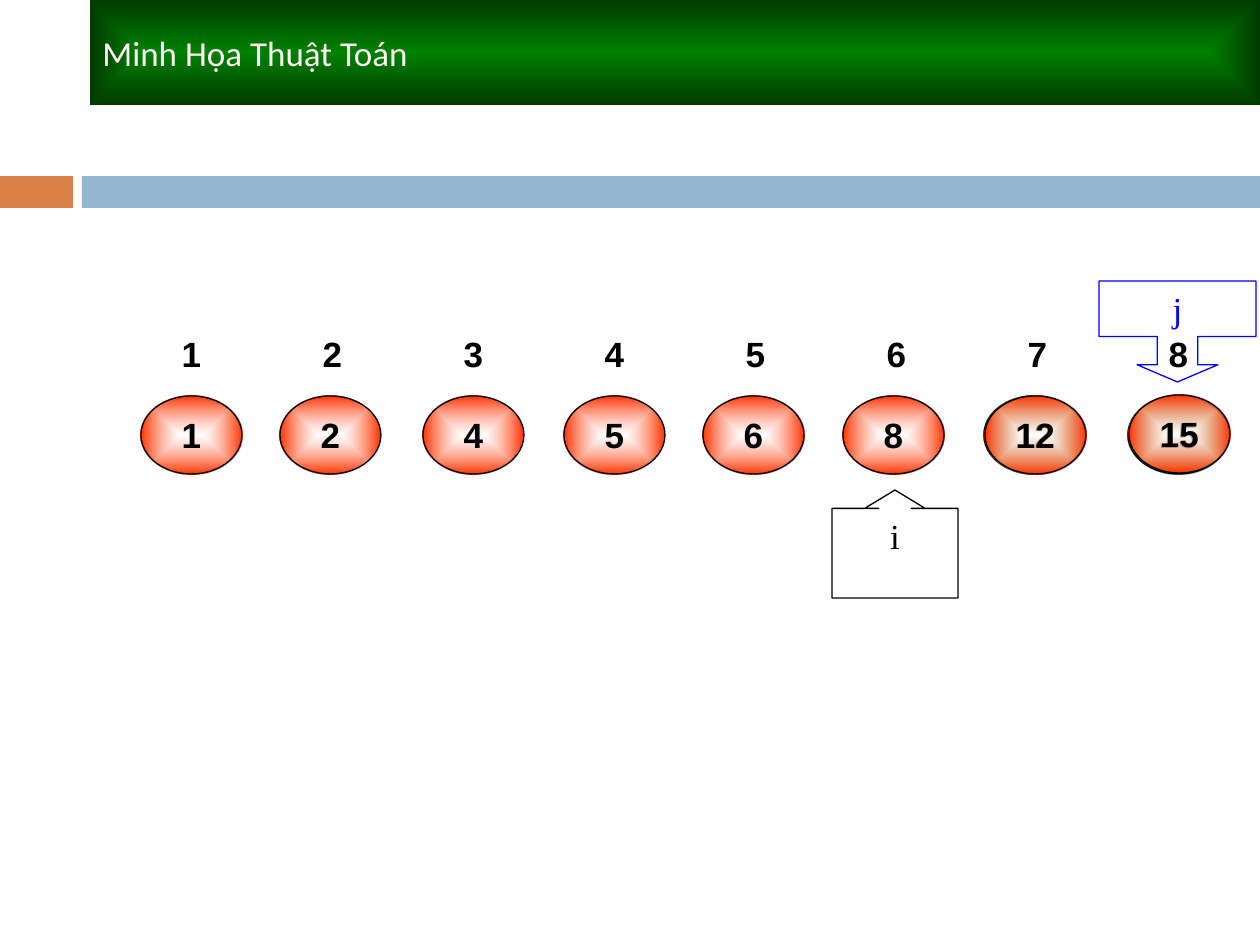
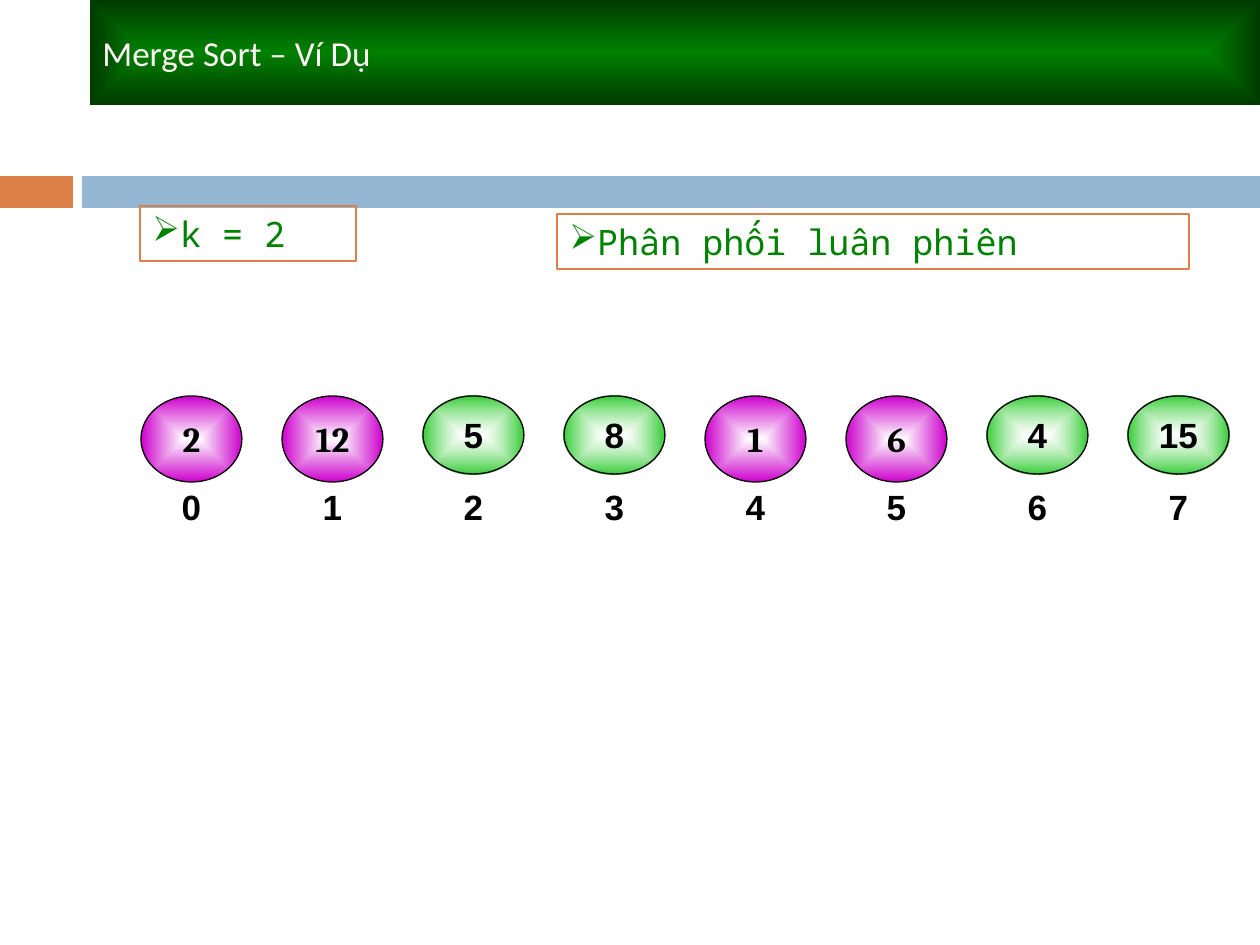
from collections import namedtuple

from lxml.etree import SubElement
from pptx import Presentation
from pptx.dml.color import RGBColor
from pptx.enum.shapes import MSO_SHAPE as Preset
from pptx.enum.text import MSO_ANCHOR as Anchor, PP_ALIGN as Align
from pptx.oxml import parse_xml
from pptx.oxml.ns import nsdecls, qn
from pptx.util import Emu, Pt

Box = namedtuple("Box", "left top width height")

EMU_PER_PX = 914400 / 126
COLORS = {
    "orange": "DD8047",
    "blue_band": "94B6D2",
    "title_center": "008000",
    "title_edge": "003B00",
    "title_text": "FFF3F3",
    "white": "FFFFFF",
    "black": "000000",
    "red": "FF3300",
    "green": "33CC33",
    "purple": "CC00CC",
    "pointer_blue": "0000FF",
    "note": "008200",
}
PITCH = 141
BALL_WIDTH, BALL_HEIGHT, PURPLE_HEIGHT = 101, 78, 86
ROW_LEFT, ROW_TOP = 141, 396
SORTED_VALUES = (1, 2, 4, 5, 6, 8, 12, 15)
SORTED_NUDGES = (0, -2, 0, 0, -2, -3, -3, 0)
INPUT_VALUES = (2, 12, 5, 8, 1, 6, 4, 15)
RUN_LENGTH = 2


def px(length):
    """Turn px into EMU."""
    return Emu(round(length * EMU_PER_PX))


def rgb(name):
    """Look up a named colour."""
    return RGBColor.from_string(COLORS[name])


def fill_from_center(shape, center, edge, opacity=100):
    """Fill a shape with a rectangular gradient from its centre to its edge."""
    properties = shape._element.spPr
    gradient = parse_xml(
        f'<a:gradFill {nsdecls("a")} rotWithShape="1"><a:gsLst>'
        f'<a:gs pos="0"><a:srgbClr val="{COLORS[center]}">'
        f'<a:alpha val="{opacity * 1000}"/></a:srgbClr></a:gs>'
        f'<a:gs pos="100000"><a:srgbClr val="{COLORS[edge]}"/></a:gs></a:gsLst>'
        '<a:path path="rect"><a:fillToRect l="50000" t="50000" r="50000" b="50000"/>'
        "</a:path></a:gradFill>"
    )
    properties.find(qn("a:prstGeom")).addnext(gradient)


def add_preset(shapes, preset, box, fill=None, line=None, gradient=None):
    """Add a preset shape with a plain, gradient or empty fill."""
    shape = shapes.add_shape(preset, *map(px, box))
    shape.shadow.inherit = False
    if gradient:
        fill_from_center(shape, *gradient)
    elif fill:
        shape.fill.solid()
        shape.fill.fore_color.rgb = rgb(fill)
    else:
        shape.fill.background()
    if line:
        shape.line.color.rgb = rgb(line)
        shape.line.width = Pt(0.75)
    else:
        shape.line.fill.background()
    return shape


def write_text(shape, text, font="Arial", color="black", bold=False, align=Align.CENTER,
               anchor=Anchor.TOP, wrap=True, bullet=None):
    """Write one formatted line into a shape."""
    frame = shape.text_frame
    frame.word_wrap = wrap
    frame.vertical_anchor = anchor
    paragraph = frame.paragraphs[0]
    paragraph.alignment = align
    if bullet:
        properties = paragraph._p.get_or_add_pPr()
        bullet_color = SubElement(properties, qn("a:buClr"))
        SubElement(bullet_color, qn("a:srgbClr")).set("val", COLORS[color])
        SubElement(properties, qn("a:buChar")).set("char", bullet)
    run = paragraph.add_run()
    run.text = text
    run.font.size = Pt(20)
    run.font.name = font
    run.font.bold = bold
    run.font.color.rgb = rgb(color)


def add_bands(slide, box):
    """Draw the orange tab and the blue band."""
    tab_width, band_offset = 73, 82
    add_preset(slide.shapes, Preset.RECTANGLE, box._replace(width=tab_width), fill="orange")
    band = box._replace(left=box.left + band_offset, width=box.width - band_offset)
    add_preset(slide.shapes, Preset.RECTANGLE, band, fill="blue_band")


def add_title(slide, text, box):
    """Draw the green title bar."""
    bar = add_preset(slide.shapes, Preset.RECTANGLE, box,
                     gradient=("title_center", "title_edge"))
    write_text(bar, text, font="Calibri", color="title_text", align=Align.LEFT,
               anchor=Anchor.MIDDLE)


def add_base_slide(presentation, title):
    """Add a blank slide with the shared bands and title."""
    slide = presentation.slides.add_slide(presentation.slide_layouts[6])
    add_bands(slide, Box(0, 176, 1260, 32))
    add_title(slide, title, Box(90, 0, 1170, 105))
    return slide


def cell_box(index, top, height=BALL_HEIGHT, nudge=0):
    """Return the box of one array cell."""
    return Box(ROW_LEFT + index * PITCH + nudge, top, BALL_WIDTH, height)


def add_ball(slide, value, box, color):
    """Draw an array value in a glossy ellipse."""
    purple = color == "purple"
    opacity = 100 if purple else 60
    ball = add_preset(slide.shapes, Preset.OVAL, box, line="black",
                      gradient=("white", color, opacity))
    style = dict(font="Cambria", anchor=Anchor.MIDDLE, wrap=False) if purple else {}
    write_text(ball, str(value), bold=True, **style)


def add_index_row(slide, first, top):
    """Write the eight array indices as one group."""
    group = slide.shapes.add_group_shape()
    for index in range(len(INPUT_VALUES)):
        label = add_preset(group.shapes, Preset.OVAL, cell_box(index, top))
        write_text(label, str(first + index), bold=True)


def add_pointer(slide, name, preset, box, color, adjustments):
    """Draw a callout that points at an array cell."""
    pointer = add_preset(slide.shapes, preset, box, line=color)
    for position, value in enumerate(adjustments):
        pointer.adjustments[position] = value
    write_text(pointer, name, font="Times New Roman", color=color)


def add_note(slide, text, box):
    """Draw a bulleted note in an orange frame."""
    note = add_preset(slide.shapes, Preset.RECTANGLE, box, line="orange")
    write_text(note, text, font="Noto Sans Mono", color="note", align=Align.LEFT, bullet="➢")


def build_illustration(presentation):
    """Build the slide with the sorted array and its two pointers."""
    slide = add_base_slide(presentation, "Minh Họa Thuật Toán")
    for index, (value, nudge) in enumerate(zip(SORTED_VALUES, SORTED_NUDGES)):
        color = "red" if index < 6 else "green"
        add_ball(slide, value, cell_box(index, ROW_TOP, nudge=nudge), color)
    add_index_row(slide, 1, 315)
    add_pointer(slide, "i", Preset.UP_ARROW_CALLOUT, Box(832, 490, 126, 108), "black",
                (0.3, 0.28, 0.17, 0.99))
    add_pointer(slide, "j", Preset.DOWN_ARROW_CALLOUT, Box(1099, 281, 157, 101),
                "pointer_blue", (0.4, 0.4, 0.17, 0.55))
    add_ball(slide, SORTED_VALUES[7], cell_box(7, ROW_TOP - 1, nudge=1), "red")
    add_ball(slide, SORTED_VALUES[6], cell_box(6, ROW_TOP, nudge=-2), "red")


def build_example(presentation):
    """Build the slide that deals the array out in alternating runs."""
    slide = add_base_slide(presentation, "Merge Sort – Ví Dụ")
    for index, value in enumerate(INPUT_VALUES):
        if index // RUN_LENGTH % 2:
            add_ball(slide, value, cell_box(index, ROW_TOP), "green")
        else:
            add_ball(slide, value, cell_box(index, ROW_TOP, PURPLE_HEIGHT), "purple")
    add_index_row(slide, 0, 468)
    add_note(slide, f"k = {RUN_LENGTH}", Box(140, 206, 216, 55))
    add_note(slide, "Phân phối luân phiên", Box(557, 214, 632, 55))


def main():
    """Build and save the presentation."""
    presentation = Presentation()
    presentation.slide_width = px(1260)
    presentation.slide_height = px(945)
    build_illustration(presentation)
    build_example(presentation)
    presentation.save("out.pptx")


if __name__ == "__main__":
    main()
